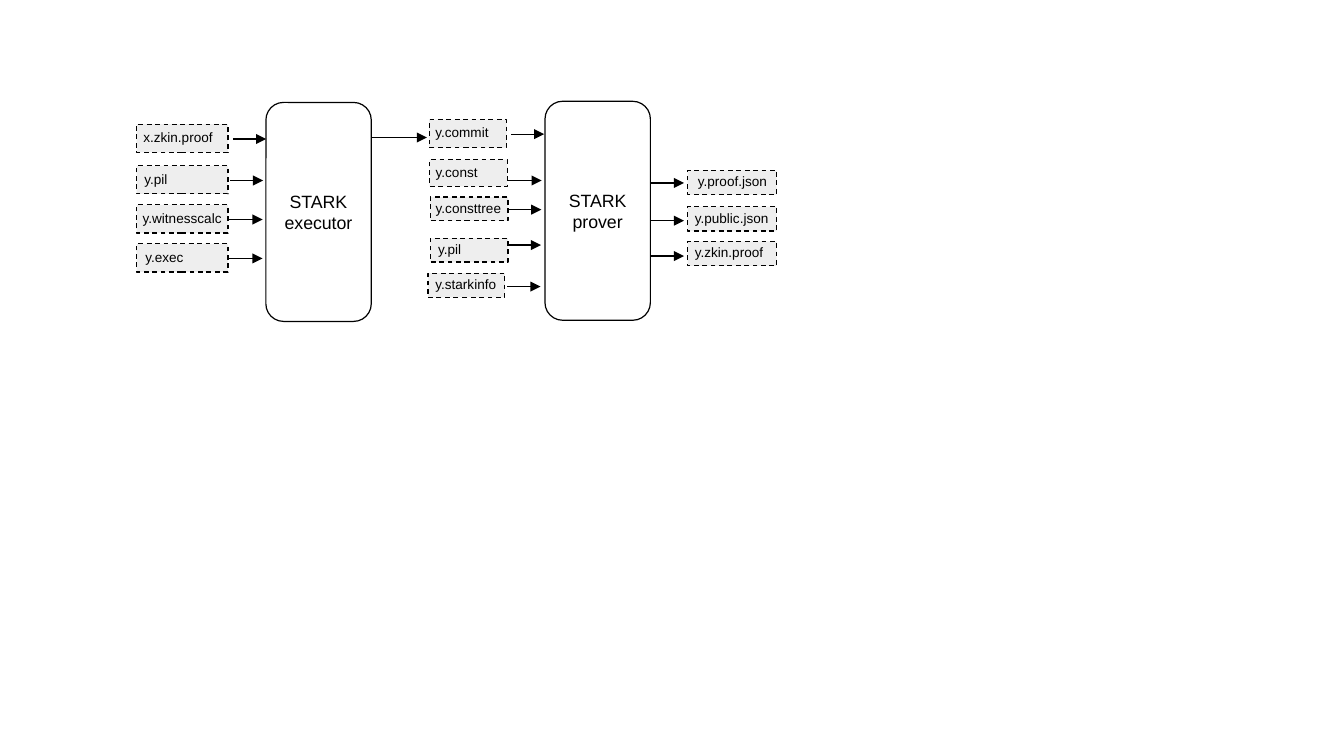
from dataclasses import dataclass

from lxml import etree
from pptx import Presentation
from pptx.dml.color import RGBColor
from pptx.enum.dml import MSO_LINE
from pptx.enum.shapes import MSO_CONNECTOR, MSO_SHAPE
from pptx.enum.text import MSO_ANCHOR, PP_ALIGN
from pptx.oxml.ns import qn
from pptx.util import Pt

RECT, ROUNDED = MSO_SHAPE.RECTANGLE, MSO_SHAPE.ROUNDED_RECTANGLE
STRAIGHT, DASH = MSO_CONNECTOR.STRAIGHT, MSO_LINE.DASH
LEFT, CENTER, MIDDLE = PP_ALIGN.LEFT, PP_ALIGN.CENTER, MSO_ANCHOR.MIDDLE


@dataclass(frozen=True)
class Theme:
    ink: RGBColor = RGBColor(0, 0, 0)
    stage_fill: RGBColor = RGBColor(0xFF, 0xFF, 0xFF)
    file_fill: RGBColor = RGBColor(0xEE, 0xEE, 0xEE)
    font: str = "Arial"
    stage_size: float = 10.5
    file_size: float = 8
    line: float = 0.71


THEME = Theme()

# Content: stages as (text, left, top)
STAGES = [
    ("STARK\nexecutor", 157, 60.5),
    ("STARK\nprover", 321.8, 59.8),
]
STAGE_W, STAGE_H, STAGE_RADIUS = 62.2, 129.3, 10.4

# Files as (name, left, top, width, height, text indent, arrow start, arrow y)
EXECUTOR_INPUTS = [
    ("x.zkin.proof", 80.6, 73.4, 54, 16.6, 4, 137.5, 82.1),
    ("y.pil", 80.6, 97.9, 54, 16.6, 4.6, 135.7, 106.6),
    ("y.witnesscalc", 80.6, 121, 54, 16.6, 3.6, 135.4, 129.6),
    ("y.exec", 80.6, 144, 54, 16.6, 5.2, 135.4, 152.6),
]
PROVER_INPUTS = [
    ("y.commit", 253.4, 70.6, 45.7, 16.6, 3.6, 301.7, 79.2),
    ("y.const", 253.6, 94.3, 45.9, 15.8, 3.6, 300.2, 106.6),
    ("y.consttree", 254, 116.4, 45.9, 14, 3.2, 300, 123.8),
    ("y.pil", 254, 140.8, 45.9, 14, 4.6, 299.8, 144.7),
    ("y.starkinfo", 252.7, 161.3, 45.4, 14.4, 4.3, 299.5, 169.2),
]
PROVER_OUTPUTS = [
    ("y.proof.json", 406, 100.6, 52.6, 14.4, 6, 384.2, 108),
    ("y.public.json", 406, 122.1, 52.6, 14.4, 4.2, 384.2, 130.3),
    ("y.zkin.proof", 406, 142.6, 52.6, 14.4, 4.2, 384.2, 151.2),
]
ARROW_LENGTH = 19.6
COMMIT_ARROW = (219.4, 81.2, 32.6)


def add_box(s, kind, text, bounds, fill, size, align):
    sp = s.shapes.add_shape(kind, *map(Pt, bounds))
    sp.shadow.inherit = False
    sp.fill.solid()
    sp.fill.fore_color.rgb = fill
    sp.line.color.rgb = THEME.ink
    sp.line.width = Pt(THEME.line)
    tf = sp.text_frame
    tf.word_wrap = True
    tf.vertical_anchor = MIDDLE
    tf.margin_left = tf.margin_right = tf.margin_top = tf.margin_bottom = 0
    tf.text = text
    for p in tf.paragraphs:
        p.alignment = align
        for r in p.runs:
            r.font.name = THEME.font
            r.font.size = Pt(size)
            r.font.color.rgb = THEME.ink
    return sp


def add_stage(s, text, left, top):
    sp = add_box(s, ROUNDED, text, (left, top, STAGE_W, STAGE_H),
                 THEME.stage_fill, THEME.stage_size, CENTER)
    sp.adjustments[0] = STAGE_RADIUS / STAGE_W


def add_file(s, name, bounds, indent):
    sp = add_box(s, RECT, name, bounds, THEME.file_fill, THEME.file_size, LEFT)
    sp.line.dash_style = DASH
    sp.text_frame.margin_left = Pt(indent)
    sp.text_frame.margin_bottom = Pt(1.5)


def add_arrow(s, x, y, length):
    line = s.shapes.add_connector(STRAIGHT, Pt(x), Pt(y), Pt(x + length), Pt(y))
    line.line.color.rgb = THEME.ink
    line.line.width = Pt(THEME.line)
    ln = line.line._get_or_add_ln()
    etree.SubElement(ln, qn("a:tailEnd"), type="triangle")
    etree.SubElement(line._element.spPr, qn("a:effectLst"))


def main():
    prs = Presentation()
    prs.slide_width, prs.slide_height = Pt(793.44), Pt(446.4)
    s = prs.slides.add_slide(prs.slide_layouts[6])

    # Processing stages
    for stage in STAGES:
        add_stage(s, *stage)
    add_arrow(s, *COMMIT_ARROW)

    # Input and output files, each with its arrow
    for name, *bounds, indent, x, y in EXECUTOR_INPUTS + PROVER_INPUTS + PROVER_OUTPUTS:
        add_file(s, name, bounds, indent)
        add_arrow(s, x, y, ARROW_LENGTH)

    prs.save("out.pptx")


if __name__ == "__main__":
    main()
